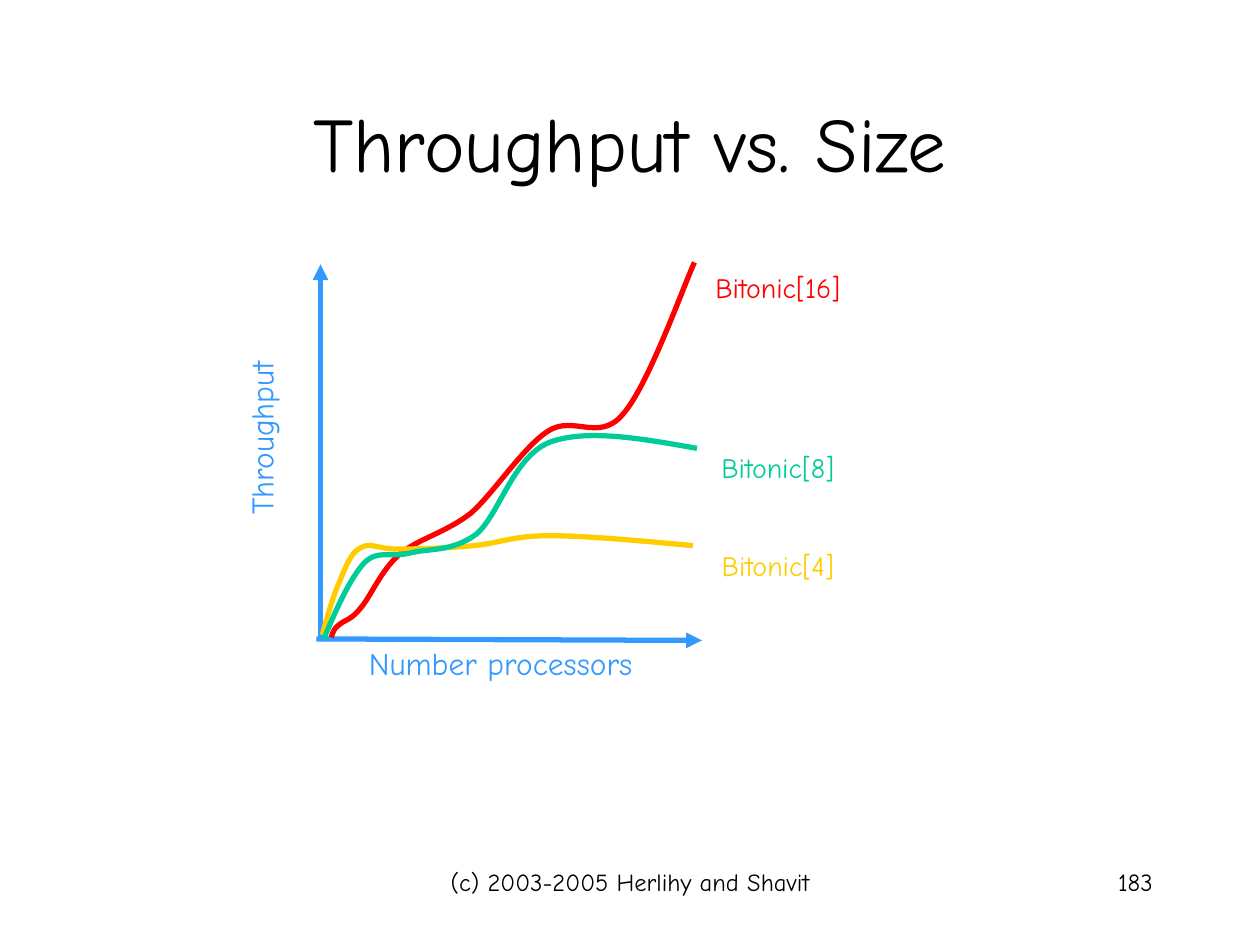
"""Build the Throughput vs. Size slide with its smooth line graph."""
from lxml.etree import SubElement
from pptx import Presentation
from pptx.dml.color import RGBColor
from pptx.enum.shapes import MSO_CONNECTOR
from pptx.enum.text import MSO_ANCHOR, PP_ALIGN
from pptx.oxml.ns import qn
from pptx.util import Cm, Pt

FONT = "Comic Neue"
BLACK, BLUE = "000000", "3399FF"
CENTER, RIGHT = PP_ALIGN.CENTER, PP_ALIGN.RIGHT
LINE_WIDTH = 3

TITLE = ("Throughput vs. Size", (1.9, 1.27, 21.6, 3.18), 44, BLACK, CENTER)
X_LABEL = ("Number processors", (7.18, 12.85, 5.82, 1.02), 18, BLUE, CENTER)
Y_LABEL = ("Throughput", (3.46, 8.32, 3.61, 1.02), 18, BLUE, CENTER)
FOOTERS = [
    ("(c) 2003-2005 Herlihy and Shavit", (8.68, 17.35, 8.05, 1.27), 14, BLACK, CENTER),
    ("183", (18.21, 17.35, 5.28, 1.27), 14, BLACK, RIGHT),
]
AXES = [(6.46, 12.9, 6.46, 5.33), (6.38, 12.88, 14.15, 12.91)]
CURVES = [
    ("Bitonic[16]", 5.33, "FF0000", [
        (6.68, 12.85), (6.71, 12.75), (6.73, 12.67), (6.83, 12.6),
        (6.93, 12.5), (7.06, 12.52), (7.26, 12.27),
        (7.47, 12.04), (7.67, 11.51), (8.05, 11.18),
        (8.41, 10.87), (8.99, 10.74), (9.5, 10.34),
        (9.98, 9.91), (10.54, 9.02), (11.05, 8.69),
        (11.56, 8.36), (12.07, 8.92), (12.55, 8.36),
        (13.06, 7.8), (13.77, 5.79), (14, 5.29)]),
    ("Bitonic[4]", 10.94, "FFCC00", [
        (6.5, 12.8), (6.6, 12.42), (6.71, 12.04), (6.83, 11.76),
        (6.96, 11.46), (7.06, 11.15), (7.26, 11.05),
        (7.47, 10.92), (7.62, 11.07), (8, 11.07),
        (8.38, 11.07), (9.04, 11.05), (9.55, 11),
        (10.08, 10.95), (10.34, 10.8), (11.07, 10.8),
        (11.81, 10.8), (12.88, 10.9), (13.97, 11)]),
    ("Bitonic[8]", 8.96, "00CC99", [
        (6.53, 12.88), (6.78, 12.27), (7.06, 11.66), (7.34, 11.35),
        (7.62, 11.07), (7.87, 11.25), (8.26, 11.15),
        (8.64, 11.05), (9.12, 11.13), (9.6, 10.77),
        (10.06, 10.39), (10.34, 9.22), (11.07, 8.92),
        (11.81, 8.64), (12.93, 8.84), (14.05, 9.04)]),
]


def rgb(value):
    return RGBColor.from_string(value)


def style_line(line, color):
    line.color.rgb = rgb(color)
    line.width = Pt(LINE_WIDTH)


def add_text(s, text, box, size, color, align):
    sp = s.shapes.add_textbox(*map(Cm, box))
    tf = sp.text_frame
    tf.word_wrap = True
    tf.text = text
    p = tf.paragraphs[0]
    p.alignment = align
    font = p.runs[0].font
    font.name, font.size, font.color.rgb = FONT, Pt(size), rgb(color)
    return sp


def add_axis(s, ends):
    cxn = s.shapes.add_connector(MSO_CONNECTOR.STRAIGHT, *map(Cm, ends))
    style_line(cxn.line, BLUE)
    sp_pr = cxn._element.spPr
    SubElement(sp_pr.find(qn("a:ln")), qn("a:tailEnd"), type="triangle")
    SubElement(sp_pr, qn("a:effectLst"))


def add_curve(s, points, color):
    start, *rest = [(Cm(x), Cm(y)) for x, y in points]
    fb = s.shapes.build_freeform(*start)
    fb.add_line_segments(rest, close=False)
    sp = fb.convert_to_shape()
    path = next(sp._element.iter(qn("a:path")))
    segments = path.findall(qn("a:lnTo"))
    for i in range(0, len(segments), 3):
        curve = SubElement(path, qn("a:cubicBezTo"))
        for segment in segments[i:i + 3]:
            curve.append(segment[0])
            path.remove(segment)
    sp.shadow.inherit = False
    sp.fill.background()
    style_line(sp.line, color)


def main():
    prs = Presentation()
    prs.slide_width, prs.slide_height = Cm(25.4), Cm(19.05)
    s = prs.slides.add_slide(prs.slide_layouts[6])
    add_text(s, *TITLE).text_frame.vertical_anchor = MSO_ANCHOR.MIDDLE
    for ends in AXES:
        add_axis(s, ends)
    for label, top, color, points in CURVES:
        add_curve(s, points, color)
        add_text(s, label, (13.04, top, 5.28, 0.94), 16, color, CENTER)
    add_text(s, *X_LABEL)
    add_text(s, *Y_LABEL).rotation = 270
    for footer in FOOTERS:
        add_text(s, *footer)
    prs.save("out.pptx")


if __name__ == "__main__":
    main()
